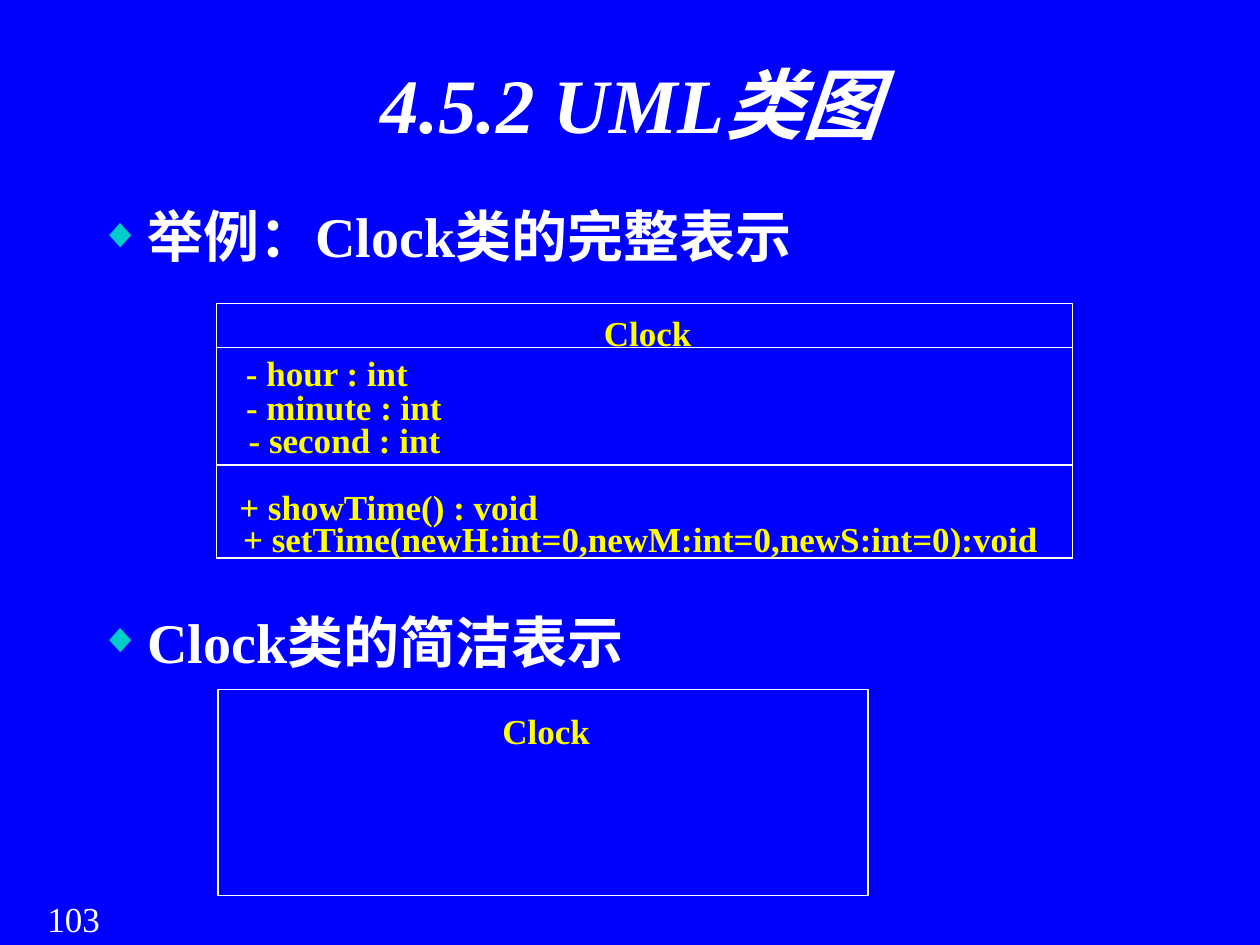
from pptx import Presentation
from pptx.dml.color import RGBColor
from pptx.enum.shapes import MSO_SHAPE as Shape
from pptx.enum.text import MSO_ANCHOR as Anchor, PP_ALIGN as Align
from pptx.oxml.ns import qn
from pptx.util import Inches, Pt
from lxml.etree import SubElement

COLORS = {"blue": "0000FF", "white": "FFFFFF", "yellow": "FFFF00", "teal": "00CCCC"}
FONT = "Times New Roman"


def color(name):
    """Return the named palette colour."""
    return RGBColor.from_string(COLORS[name])


def add_bullet(para):
    """Give a paragraph a hanging teal diamond."""
    props = para._p.get_or_add_pPr()
    props.set("marL", str(Inches(0.38)))
    props.set("indent", str(-Inches(0.38)))
    tint = SubElement(props, qn("a:buClr"))
    SubElement(tint, qn("a:srgbClr"), val=COLORS["teal"])
    SubElement(props, qn("a:buSzPct"), val="75000")
    SubElement(props, qn("a:buFont"), typeface=FONT)
    SubElement(props, qn("a:buChar"), char="◆")


def write_text(box, text, size=20, ink="white", bold=True, italic=False,
               align=Align.LEFT, wrap=True, inset=None, bullet=False):
    """Put one formatted paragraph into a box."""
    frame = box.text_frame
    frame.word_wrap = wrap
    frame.vertical_anchor = Anchor.TOP
    if inset is not None:
        frame.margin_left = frame.margin_right = Inches(inset)
        frame.margin_top = frame.margin_bottom = Inches(inset)
    para = frame.paragraphs[0]
    para.alignment = align
    if bullet:
        add_bullet(para)
    span = para.add_run()
    span.text = text
    font = span.font
    font.name, font.size, font.bold, font.italic = FONT, Pt(size), bold, italic
    font.color.rgb = color(ink)


def add_text(page, text, left, top, width, height, **style):
    """Add a text box with one paragraph."""
    box = page.shapes.add_textbox(*map(Inches, (left, top, width, height)))
    write_text(box, text, **style)


def add_title(page, text):
    """Place and format the slide title."""
    title = page.shapes.title
    title.left, title.top, title.width, title.height = map(Inches, (0.69, 0.4, 8.62, 1.45))
    write_text(title, text, size=44, italic=True, align=Align.CENTER)


def add_heading(page, text, top):
    """Add a bulleted heading above a diagram."""
    add_text(page, text, 0.69, top, 8.62, 0.75, size=32, bullet=True)


def add_outline(page, left, top, width, height):
    """Add an unfilled rectangle with a hairline border."""
    outline = page.shapes.add_shape(Shape.RECTANGLE, *map(Inches, (left, top, width, height)))
    outline.shadow.inherit = False
    outline.fill.background()
    outline.line.color.rgb = color("white")
    outline.line.width = Pt(0)


def add_label(page, text, left, top, width):
    """Add a yellow line of class text."""
    add_text(page, text, left, top, width, 0.34, ink="yellow",
             align=Align.CENTER, wrap=False, inset=0)


def add_full_class(page):
    """Draw the class with its attributes and operations."""
    bottom = 4.43
    for top in (2.41, 2.76, 3.69):
        add_outline(page, 1.72, top, 6.79, bottom - top)
    members = [
        ("Clock", 4.79, 2.47, 0.7),
        ("- hour : int", 1.95, 2.79, 1.29),
        ("- minute : int", 1.95, 3.06, 1.56),
        ("- second : int", 1.97, 3.32, 1.53),
        ("+ showTime() : void", 1.89, 3.85, 2.39),
        ("+ setTime(newH:int=0,newM:int=0,newS:int=0):void", 1.91, 4.11, 6.35),
    ]
    for member in members:
        add_label(page, *member)


def add_brief_class(page):
    """Draw the class with its name only."""
    add_outline(page, 1.73, 5.47, 5.16, 1.64)
    add_label(page, "Clock", 3.44, 5.63, 1.79)


def main():
    """Build and save the slide."""
    deck = Presentation()
    deck.slide_width, deck.slide_height = Inches(10), Inches(7.5)
    page = deck.slides.add_slide(deck.slide_layouts[5])
    page.background.fill.solid()
    page.background.fill.fore_color.rgb = color("blue")
    add_text(page, "103", 0.17, 7.07, 0.83, 0.43, bold=False, align=Align.CENTER)
    add_title(page, "4.5.2 UML类图")
    add_heading(page, "举例：Clock类的完整表示", 1.55)
    add_full_class(page)
    add_heading(page, "Clock类的简洁表示", 4.77)
    add_brief_class(page)
    deck.save("out.pptx")


if __name__ == "__main__":
    main()
